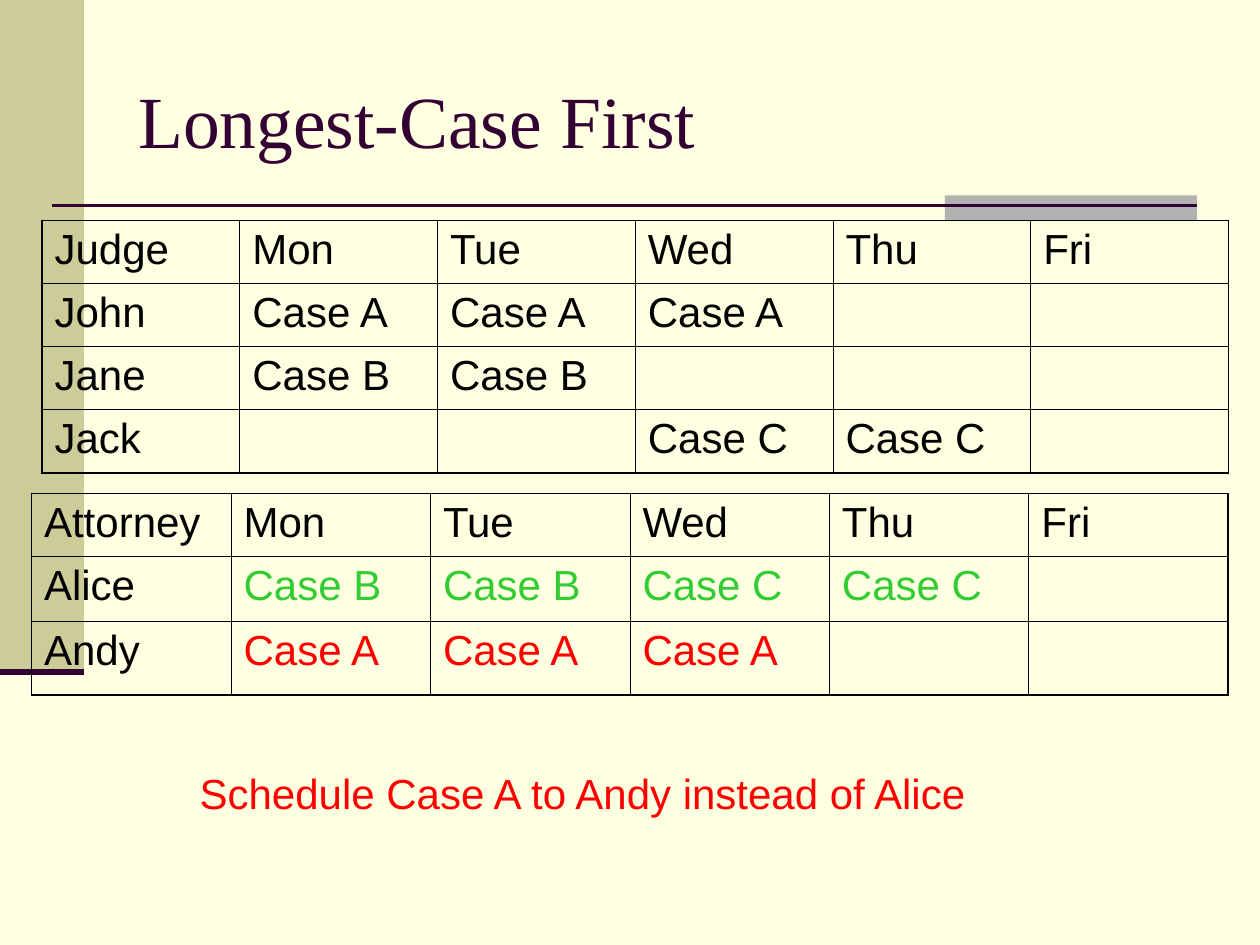
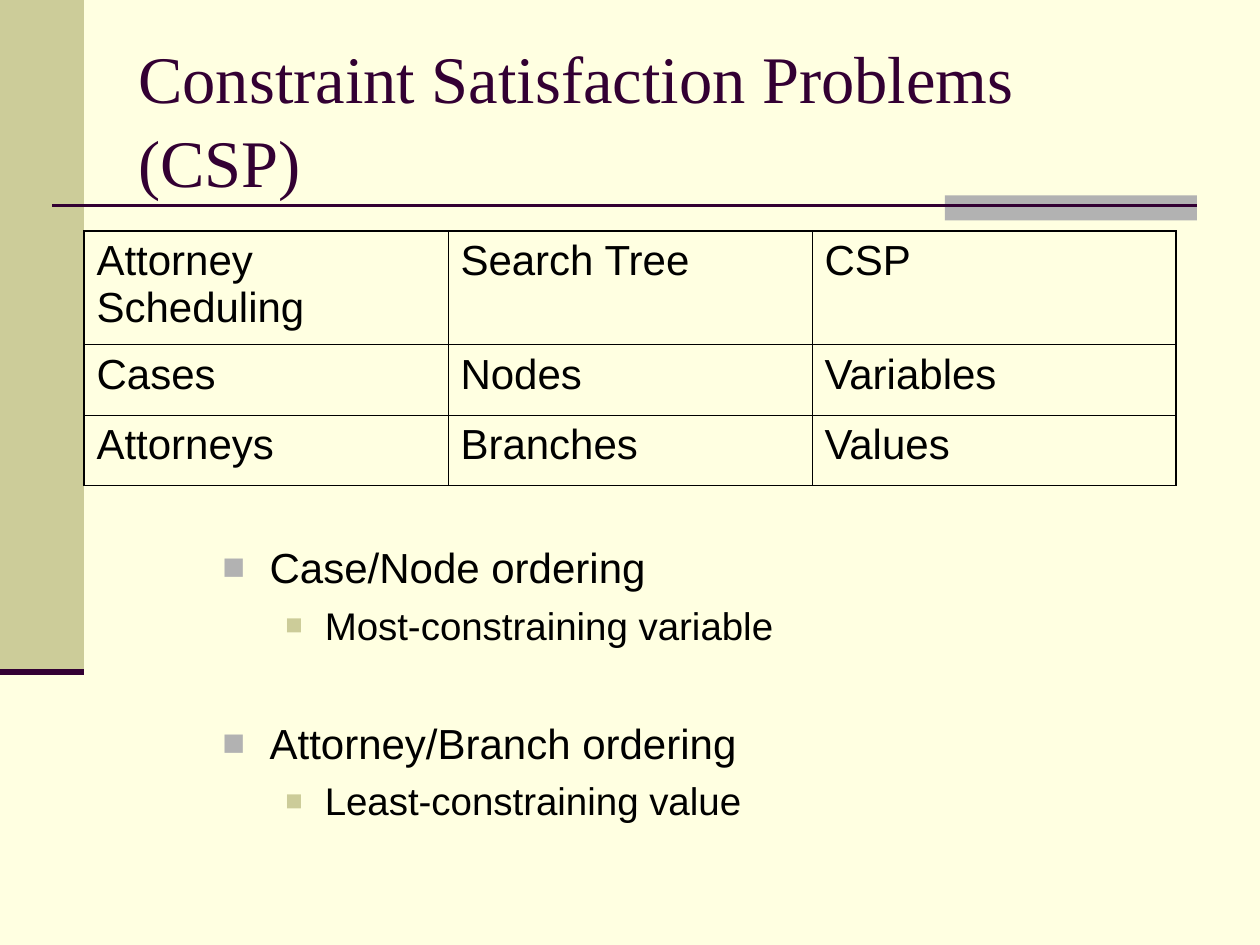
"""Build two slides on attorney scheduling and constraint satisfaction."""
from lxml.etree import SubElement
from pptx import Presentation
from pptx.dml.color import RGBColor
from pptx.enum.shapes import MSO_CONNECTOR as Connector, MSO_SHAPE as Shape
from pptx.enum.text import MSO_ANCHOR as Anchor
from pptx.oxml.ns import qn
from pptx.util import Pt

COLORS = {
    "background": "FFFFE1", "olive": "CCCC99", "gray": "B2B2B2",
    "plum": "330033", "black": "000000", "green": "33CC33", "red": "FF0000",
}
DAYS = ["Mon", "Tue", "Wed", "Thu", "Fri"]
THIN, THICK = 0.45, 1.08


def format_runs(paragraph, size, color, font_name="Arial"):
    for run in paragraph.runs:
        run.font.size = Pt(size)
        run.font.name = font_name
        run.font.color.rgb = RGBColor.from_string(COLORS[color])


def add_grid(slide, left, top, column_width, row_heights, rows, row_colors):
    row_count, column_count = len(rows), len(rows[0])
    table = slide.shapes.add_table(
        row_count, column_count, Pt(left), Pt(top),
        Pt(column_width * column_count), Pt(sum(row_heights))).table
    table.first_row = table.horz_banding = False
    for column in table.columns:
        column.width = Pt(column_width)
    for i, values in enumerate(rows):
        table.rows[i].height = Pt(row_heights[i])
        for j, value in enumerate(values):
            cell = table.cell(i, j)
            outer_sides = {"lnL": j == 0, "lnR": j == column_count - 1,
                           "lnT": i == 0, "lnB": i == row_count - 1}
            properties = cell._tc.get_or_add_tcPr()
            for side, is_outer in outer_sides.items():
                width = Pt(THICK if is_outer else THIN)
                border = SubElement(properties, qn(f"a:{side}"), w=str(width))
                fill = SubElement(border, qn("a:solidFill"))
                SubElement(fill, qn("a:srgbClr"), val=COLORS["black"])
            cell.fill.background()
            if value:
                cell.text_frame.text = value
                color = row_colors[i] if j else "black"
                format_runs(cell.text_frame.paragraphs[0], 24, color)


presentation = Presentation()
presentation.slide_width, presentation.slide_height = Pt(720), Pt(540)

slides = []
for title, title_size in [("Longest-Case First", 42),
                          ("Constraint Satisfaction Problems (CSP)", 38)]:
    slide = presentation.slides.add_slide(presentation.slide_layouts[6])
    slides.append(slide)
    slide.background.fill.solid()
    slide.background.fill.fore_color.rgb = RGBColor.from_string(COLORS["background"])

    for left, top, width, height, color in [(0, 0, 48, 384, "olive"),
                                            (540, 111.6, 144, 14.4, "gray")]:
        band = slide.shapes.add_shape(
            Shape.RECTANGLE, Pt(left), Pt(top), Pt(width), Pt(height))
        band.shadow.inherit = False
        band.fill.solid()
        band.fill.fore_color.rgb = RGBColor.from_string(COLORS[color])
        band.line.fill.background()

    for start, end, y, width in [(30, 684, 117.6, 1.5), (0, 48, 384, 3.5)]:
        rule = slide.shapes.add_connector(
            Connector.STRAIGHT, Pt(start), Pt(y), Pt(end), Pt(y))
        rule.line.color.rgb = RGBColor.from_string(COLORS["plum"])
        rule.line.width = Pt(width)
        SubElement(rule._element.spPr, qn("a:effectLst"))

    title_box = slide.shapes.add_textbox(Pt(72), Pt(21.6), Pt(612), Pt(90))
    title_frame = title_box.text_frame
    title_frame.word_wrap = True
    title_frame.vertical_anchor = Anchor.MIDDLE
    title_frame.text = title
    title_frame.paragraphs[0].line_spacing = 1.05
    format_runs(title_frame.paragraphs[0], title_size, "plum", "Times New Roman")

schedule_slide, csp_slide = slides

judge_rows = [
    ["Judge", *DAYS],
    ["John", "Case A", "Case A", "Case A", "", ""],
    ["Jane", "Case B", "Case B", "", "", ""],
    ["Jack", "", "", "Case C", "Case C", ""],
]
add_grid(schedule_slide, 24, 126, 113, [36] * 4, judge_rows, ["black"] * 4)

attorney_rows = [
    ["Attorney", *DAYS],
    ["Alice", "Case B", "Case B", "Case C", "Case C", ""],
    ["Andy", "Case A", "Case A", "Case A", "", ""],
]
add_grid(schedule_slide, 18, 282, 114, [36, 37, 42], attorney_rows,
         ["black", "green", "red"])

note_box = schedule_slide.shapes.add_textbox(Pt(107), Pt(435), Pt(457), Pt(36))
note_box.text_frame.word_wrap = False
note_box.text_frame.text = "Schedule Case A to Andy instead of Alice"
format_runs(note_box.text_frame.paragraphs[0], 24, "red")

csp_rows = [
    ["Attorney Scheduling", "Search Tree", "CSP"],
    ["Cases", "Nodes", "Variables"],
    ["Attorneys", "Branches", "Values"],
]
add_grid(csp_slide, 48, 132, 208, [65, 40.2, 40.2], csp_rows, ["black"] * 3)

ordering_box = csp_slide.shapes.add_textbox(Pt(120), Pt(306), Pt(486), Pt(204))
ordering_frame = ordering_box.text_frame
ordering_frame.word_wrap = True
level_styles = [(27, 27, "gray", 90, 24), (58.5, 22.5, "olive", 75, 22)]
for i, (text, level, space_before) in enumerate([
        ("Case/Node ordering", 0, 0),
        ("Most-constraining variable", 1, 5.5),
        ("Attorney/Branch ordering", 0, 39.6),
        ("Least-constraining value", 1, 5.5)]):
    margin, hanging, bullet_color, bullet_percent, size = level_styles[level]
    paragraph = ordering_frame.add_paragraph() if i else ordering_frame.paragraphs[0]
    paragraph.text = text
    paragraph.level = level
    properties = paragraph._p.get_or_add_pPr()
    properties.set("marL", str(Pt(margin)))
    properties.set("indent", str(-Pt(hanging)))
    bullet_fill = SubElement(properties, qn("a:buClr"))
    SubElement(bullet_fill, qn("a:srgbClr"), val=COLORS[bullet_color])
    SubElement(properties, qn("a:buSzPct"), val=str(bullet_percent * 1000))
    SubElement(properties, qn("a:buFont"), typeface="Arial")
    SubElement(properties, qn("a:buChar"), char="■")
    paragraph.space_before = Pt(space_before)
    format_runs(paragraph, size, "black")

presentation.save("out.pptx")
